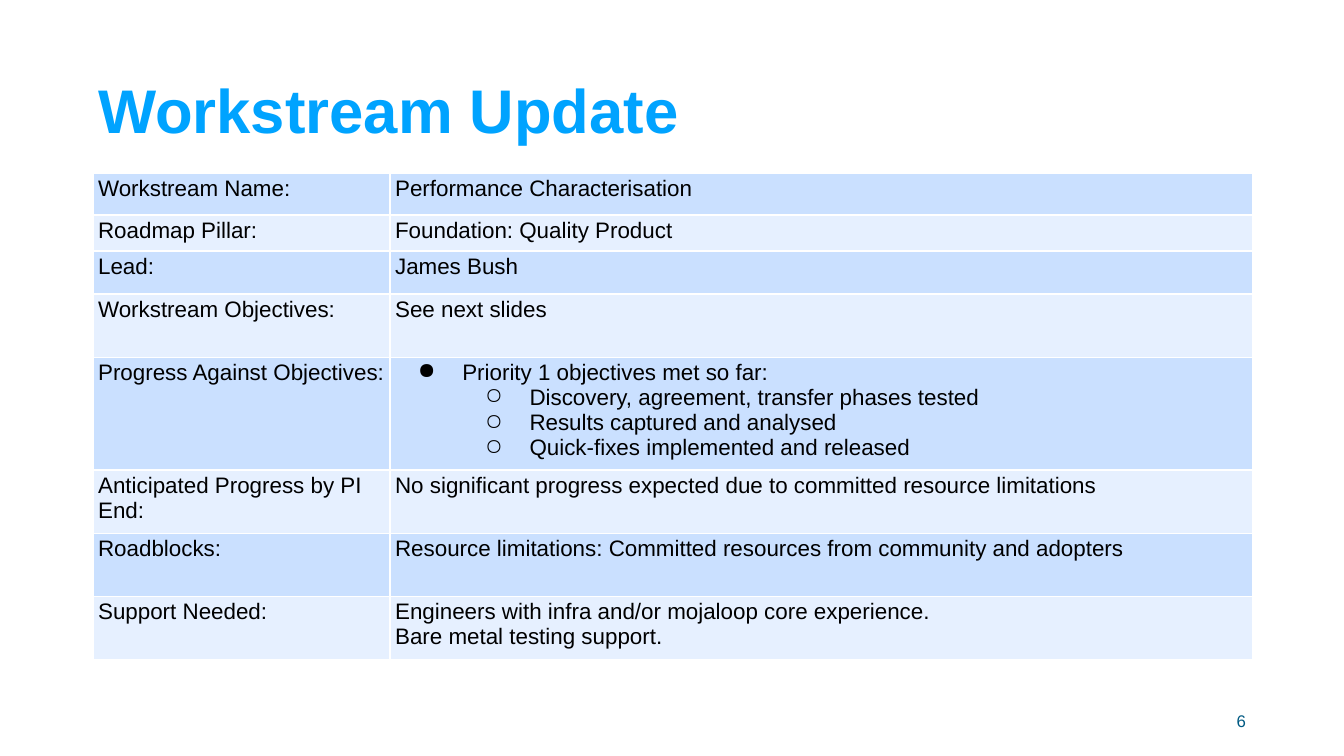
from dataclasses import dataclass

from pptx import Presentation
from pptx.dml.color import RGBColor
from pptx.enum.text import MSO_ANCHOR as Anchor, PP_ALIGN as Align
from pptx.oxml.ns import qn
from pptx.util import Pt
from lxml.etree import SubElement

PX = 914400 // 200  # 200 px to the inch
FONT = "Arial"
BLACK, WHITE = "000000", "FFFFFF"
BANDS = ("CAE0FF", "E6F0FF")
BULLETS = ("●", "○")
INSET_X, INSET_Y = 8, 4
TABLE_LEFT, TABLE_TOP = 138, 258
COLUMN_WIDTHS = (442, 1284)


@dataclass(frozen=True)
class Line:
    text: str
    level: int | None = None  # bullet level, None for plain text


@dataclass(frozen=True)
class Row:
    label: str
    lines: tuple[Line, ...]
    height: int = 94


@dataclass(frozen=True)
class Label:
    text: str
    box: tuple[int, int, int, int]
    size: int
    color: str
    bold: bool = False
    align: Align = Align.LEFT
    spacing: float = 1.0


LABELS = (
    Label("Workstream Update", (138, 60, 1548, 218), 33, "00A3FF", bold=True, spacing=0.9),
    Label("6", (1412, 1042, 450, 60), 9, "005A83", align=Align.RIGHT),
)

ROWS = (
    Row("Workstream Name:", (Line("Performance Characterisation"),), 62),
    Row("Roadmap Pillar:", (Line("Foundation: Quality Product"),), 54),
    Row("Lead:", (Line("James Bush"),), 64),
    Row("Workstream Objectives:", (Line("See next slides"),)),
    Row("Progress Against Objectives:", (
        Line("Priority 1 objectives met so far:", 0),
        Line("Discovery, agreement, transfer phases tested", 1),
        Line("Results captured and analysed", 1),
        Line("Quick-fixes implemented and released", 1),
    )),
    Row("Anticipated Progress by PI End:", (
        Line("No significant progress expected due to committed resource limitations"),
    )),
    Row("Roadblocks:", (
        Line("Resource limitations: Committed resources from community and adopters"),
    )),
    Row("Support Needed:", (
        Line("Engineers with infra and/or mojaloop core experience."),
        Line("Bare metal testing support."),
    )),
)


def rgb(color: str) -> RGBColor:
    return RGBColor.from_string(color)


def style_runs(p, size: int, color: str, bold: bool = False) -> None:
    for r in p.runs:
        r.font.name, r.font.size, r.font.bold = FONT, Pt(size), bold
        r.font.color.rgb = rgb(color)


def set_insets(target) -> None:
    target.margin_left = target.margin_right = INSET_X * PX
    target.margin_top = target.margin_bottom = INSET_Y * PX


def add_label(s, label: Label) -> None:
    tf = s.shapes.add_textbox(*(n * PX for n in label.box)).text_frame
    tf.word_wrap = True
    tf.vertical_anchor = Anchor.MIDDLE
    set_insets(tf)
    tf.text = label.text
    p = tf.paragraphs[0]
    p.alignment, p.line_spacing = label.align, label.spacing
    style_runs(p, label.size, label.color, label.bold)


def add_bullet(p, level: int) -> None:
    p.level = level
    pPr = p._p.get_or_add_pPr()
    pPr.set("marL", str(100 * (level + 1) * PX))
    pPr.set("indent", str(-66 * PX))
    SubElement(SubElement(pPr, qn("a:buClr")), qn("a:srgbClr"), val=BLACK)
    SubElement(pPr, qn("a:buChar"), char=BULLETS[level])


def add_borders(cell) -> None:
    tcPr = cell._tc.get_or_add_tcPr()
    for side in ("lnL", "lnR", "lnT", "lnB"):
        ln = SubElement(tcPr, qn(f"a:{side}"), w=str(Pt(1)))
        SubElement(SubElement(ln, qn("a:solidFill")), qn("a:srgbClr"), val=WHITE)


def fill_cell(cell, lines: tuple[Line, ...], color: str) -> None:
    set_insets(cell)
    add_borders(cell)
    cell.fill.solid()
    cell.fill.fore_color.rgb = rgb(color)
    tf = cell.text_frame
    tf.text = "\n".join(line.text for line in lines)
    for p, line in zip(tf.paragraphs, lines):
        if line.level is not None:
            add_bullet(p, line.level)
        style_runs(p, 12, BLACK)


def add_update_table(s) -> None:
    height = sum(row.height for row in ROWS)
    table = s.shapes.add_table(
        len(ROWS), len(COLUMN_WIDTHS), TABLE_LEFT * PX, TABLE_TOP * PX,
        sum(COLUMN_WIDTHS) * PX, height * PX,
    ).table
    table.first_row = table.horz_banding = False
    for column, width in zip(table.columns, COLUMN_WIDTHS):
        column.width = width * PX
    for i, row in enumerate(ROWS):
        table.rows[i].height = row.height * PX
        for j, lines in enumerate(((Line(row.label),), row.lines)):
            fill_cell(table.cell(i, j), lines, BANDS[i % 2])


def main() -> None:
    prs = Presentation()
    prs.slide_width, prs.slide_height = 2000 * PX, 1125 * PX
    s = prs.slides.add_slide(prs.slide_layouts[6])
    title, page_number = LABELS
    add_label(s, title)
    add_update_table(s)
    add_label(s, page_number)
    prs.save("out.pptx")


if __name__ == "__main__":
    main()
